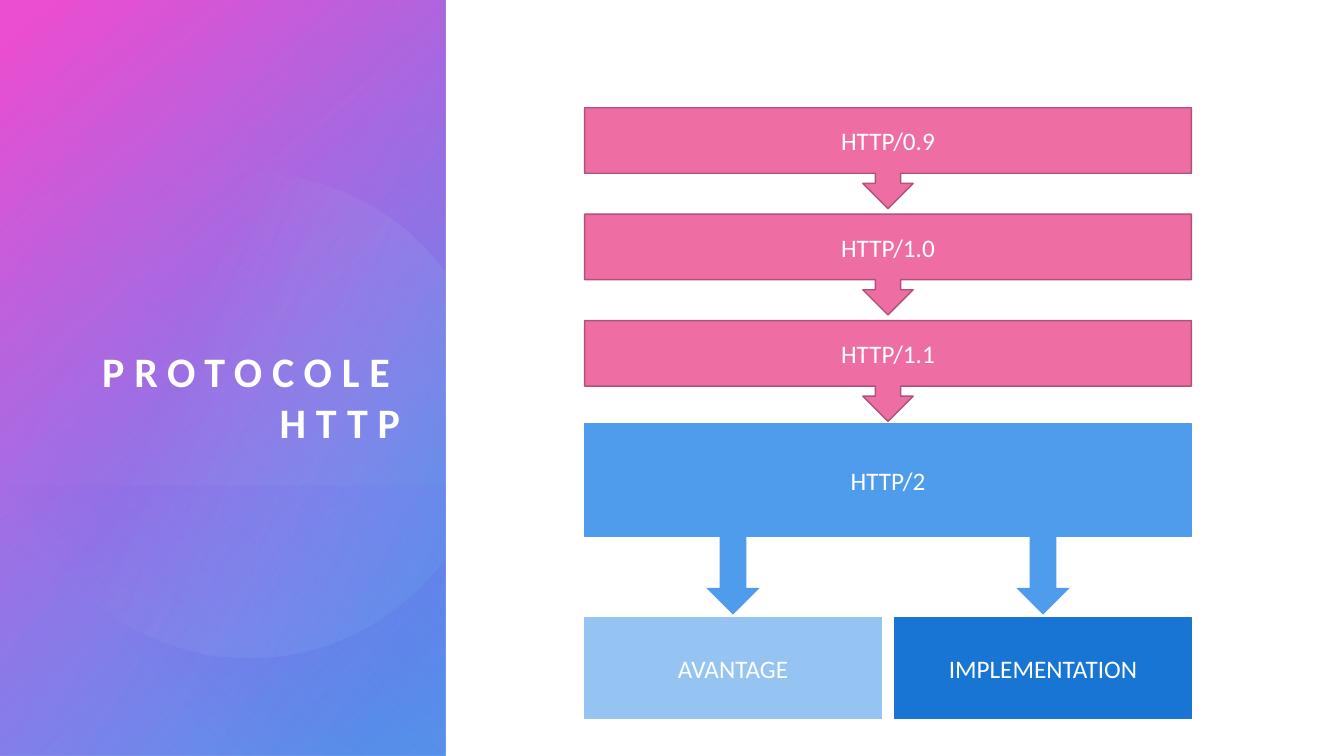
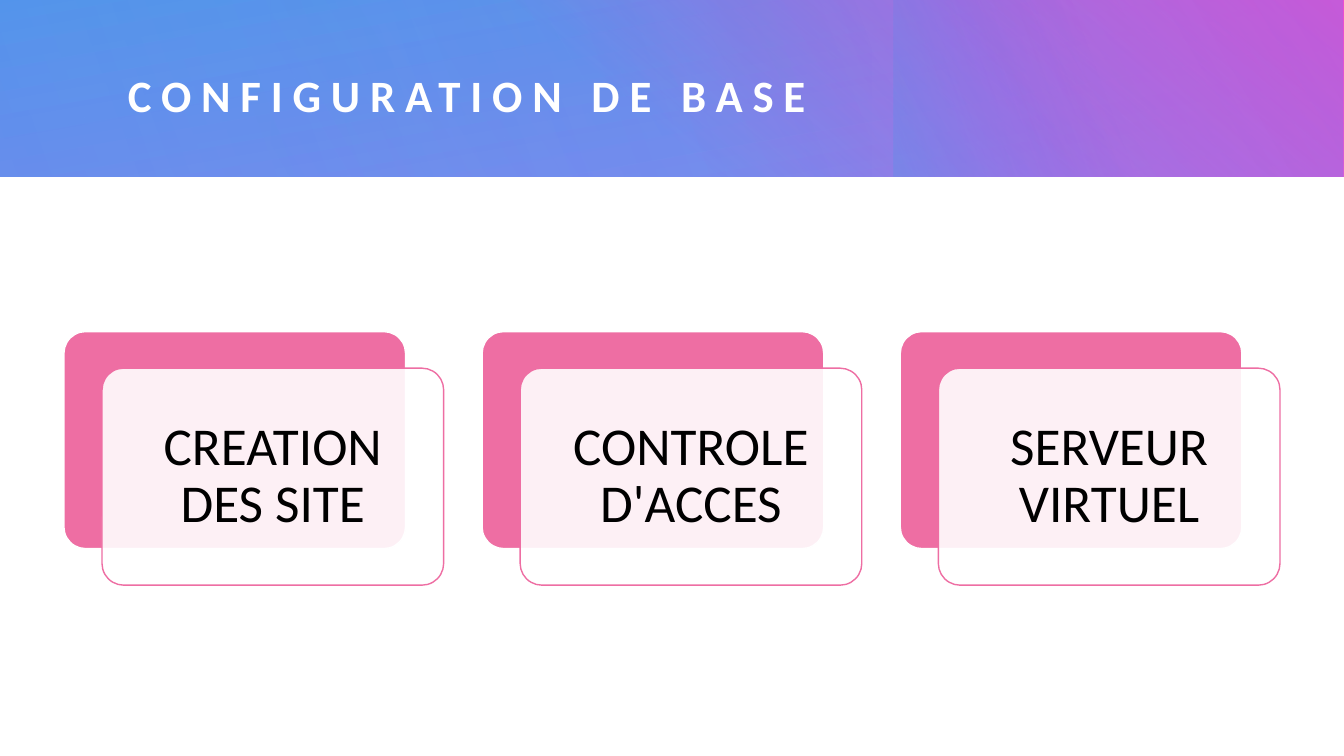
"""Build two slides on HTTP versions and basic server configuration."""
import math

from pptx import Presentation
from pptx.dml.color import RGBColor
from pptx.enum.shapes import MSO_SHAPE
from pptx.enum.text import MSO_ANCHOR, MSO_AUTO_SIZE, PP_ALIGN
from pptx.oxml.ns import qn
from pptx.util import Pt

RECTANGLE = MSO_SHAPE.RECTANGLE
ROUNDED = MSO_SHAPE.ROUNDED_RECTANGLE
CALLOUT = MSO_SHAPE.DOWN_ARROW_CALLOUT
ARROW = MSO_SHAPE.DOWN_ARROW
CENTER, LEFT, RIGHT = PP_ALIGN.CENTER, PP_ALIGN.LEFT, PP_ALIGN.RIGHT
MIDDLE, BOTTOM = MSO_ANCHOR.MIDDLE, MSO_ANCHOR.BOTTOM
NO_AUTOFIT = MSO_AUTO_SIZE.NONE

FONT = "Calibri"
TITLE_ONLY = 5
COLORS = {
    "white": "FFFFFF", "black": "000000", "pink": "EE6EA3", "rose": "B05179",
    "blue": "4E9CEB", "pale": "95C4F3", "deep": "1875D3", "indigo": "6E78EE",
    "violet": "834EEB", "magenta": "EB4ED0", "lilac": "E6DCFB",
}
SLIDE_WIDTH, SLIDE_HEIGHT = 960, 540
PANEL_WIDTH, BAND_HEIGHT = 318.24, 126

# Each layer: box, (position, color, opacity) of both stops, clockwise angle.
PANEL_LAYERS = [
    ((0, 0, PANEL_WIDTH, SLIDE_HEIGHT), (8, "blue", 100), (100, "indigo", 72), 210),
    ((0, 0, PANEL_WIDTH, SLIDE_HEIGHT), (0, "violet", 0), (96, "magenta", 100), 230),
    ((0, 347, PANEL_WIDTH, 193), (2, "indigo", 35), (67, "violet", 0), 140),
]
BAND_LAYERS = [
    ((0, 0, SLIDE_WIDTH, BAND_HEIGHT), (0, "indigo", 83), (100, "blue", 100), 260),
    ((346.5, 0, 613.5, BAND_HEIGHT), (22, "magenta", 0), (99, "magenta", 100), 310),
    ((638.6, 0, 269.3, BAND_HEIGHT), (45, "violet", 0), (99, "blue", 33), 160),
    ((193, 0, 766, BAND_HEIGHT), (0, "indigo", 30), (99, "indigo", 0), 150),
    ((0, 0, 622.8, BAND_HEIGHT), (0, "indigo", 21), (99, "indigo", 0), 340),
]
CIRCLE_CENTER, CIRCLE_RADIUS = (178, 296.5), 173
CIRCLE_GRADIENT = (39, "lilac", 0), (100, "blue", 29), 22

OLD_VERSIONS = ["HTTP/0.9", "HTTP/1.0", "HTTP/1.1"]
CURRENT_VERSION = "HTTP/2"
TOPICS = [("AVANTAGE", "pale"), ("IMPLEMENTATION", "deep")]
CARDS = ["CREATION DES SITE", "CONTROLE D'ACCES", "SERVEUR VIRTUEL"]


def rgb(name):
    return RGBColor.from_string(COLORS[name])


def set_opacity(shape, *percentages):
    colors = shape.element.spPr.iter(qn("a:srgbClr"))
    for percent, color in zip(percentages, list(colors)):
        alpha = color.makeelement(qn("a:alpha"), {"val": str(percent * 1000)})
        color.append(alpha)


def set_line(shape, color):
    if color:
        shape.line.color.rgb = rgb(color)
        shape.line.width = Pt(1)
    else:
        shape.line.fill.background()


def set_gradient(shape, first, last, angle):
    shape.shadow.inherit = False
    shape.fill.gradient()
    shape.fill.gradient_angle = 360 - angle
    for stop, (position, color, _) in zip(shape.fill.gradient_stops, (first, last)):
        stop.position = position / 100
        stop.color.rgb = rgb(color)
    set_opacity(shape, first[2], last[2])
    set_line(shape, None)


def add_layers(slide, layers):
    for box, first, last, angle in layers:
        shape = slide.shapes.add_shape(RECTANGLE, *map(Pt, box))
        set_gradient(shape, first, last, angle)


def add_clipped_circle(slide):
    center_x, center_y = CIRCLE_CENTER
    half_opening = math.degrees(math.acos((PANEL_WIDTH - center_x) / CIRCLE_RADIUS))
    steps = 90
    sweep = 360 - 2 * half_opening
    points = []
    for step in range(steps + 1):
        angle = math.radians(half_opening + sweep * step / steps)
        points.append((Pt(center_x + CIRCLE_RADIUS * math.cos(angle)),
                       Pt(center_y + CIRCLE_RADIUS * math.sin(angle))))
    builder = slide.shapes.build_freeform(*points[0])
    builder.add_line_segments(points[1:], close=True)
    set_gradient(builder.convert_to_shape(), *CIRCLE_GRADIENT)


def write(shape, text, size, color, align=CENTER, anchor=MIDDLE, inset=None):
    frame = shape.text_frame
    frame.word_wrap = True
    frame.auto_size = NO_AUTOFIT
    frame.vertical_anchor = anchor
    if inset is not None:
        frame.margin_left = frame.margin_right = Pt(inset)
        frame.margin_top = frame.margin_bottom = Pt(inset)
    paragraph = frame.paragraphs[0]
    paragraph.alignment = align
    run = paragraph.add_run()
    run.text = text
    run.font.name = FONT
    run.font.size = Pt(size)
    run.font.color.rgb = rgb(color)
    return paragraph, run


def add_title(slide, text, box, size, align, anchor):
    title = slide.shapes.title
    title.left, title.top, title.width, title.height = map(Pt, box)
    slide.shapes.element.append(title.element)
    _, run = write(title, text, size, "white", align, anchor, inset=0)
    run.font.bold = True
    run.font.element.set("spc", "700") if hasattr(run.font, "element") else \
        run._r.get_or_add_rPr().set("spc", "700")


def add_block(slide, kind, box, fill, line=None, text=None):
    shape = slide.shapes.add_shape(kind, *map(Pt, box))
    shape.shadow.inherit = False
    shape.fill.solid()
    shape.fill.fore_color.rgb = rgb(fill)
    set_line(shape, line)
    if text:
        write(shape, text, 18, "white")
    return shape


def build_protocol(slide):
    add_layers(slide, PANEL_LAYERS)
    add_clipped_circle(slide)
    add_title(slide, "PROTOCOLE HTTP", (30.2, 81.4, 255.6, 237.6), 30, RIGHT, BOTTOM)

    left, width, top, pitch = 417.6, 433.4, 77, 76
    for index, version in enumerate(OLD_VERSIONS):
        box = (left, top + index * pitch, width, 72)
        add_block(slide, CALLOUT, box, "pink", "rose", version)
    add_block(slide, RECTANGLE, (left, 303, width, 80), "blue", "blue", CURRENT_VERSION)

    gap = 9.4
    topic_width = (width - gap) / len(TOPICS)
    arrow_width = 38
    for index, (topic, color) in enumerate(TOPICS):
        topic_left = left + index * (topic_width + gap)
        add_block(slide, RECTANGLE, (topic_left, 441.4, topic_width, 72), color, color, topic)
        arrow_left = topic_left + (topic_width - arrow_width) / 2
        add_block(slide, ARROW, (arrow_left, 362, arrow_width, 77), "blue")


def build_configuration(slide):
    add_layers(slide, BAND_LAYERS)
    add_title(slide, "CONFIGURATION DE BASE", (91.4, 29.5, 817.2, 76.3), 32, LEFT, MIDDLE)

    left, top, width, height, pitch = 45.7, 236.9, 244, 155, 298.7
    offset_x, offset_y = 27.2, 26.1
    for index, label in enumerate(CARDS):
        card_left = left + index * pitch
        back = add_block(slide, ROUNDED, (card_left, top, width, height), "pink", "white")
        front_box = (card_left + offset_x, top + offset_y, width, height)
        front = add_block(slide, ROUNDED, front_box, "white", "pink")
        set_opacity(front, 90)
        for shape in (back, front):
            shape.adjustments[0] = 0.1
        paragraph, _ = write(front, label, 38, "black", inset=11.4)
        paragraph.line_spacing = 0.9


def main():
    presentation = Presentation()
    presentation.slide_width = Pt(SLIDE_WIDTH)
    presentation.slide_height = Pt(SLIDE_HEIGHT)
    for build in (build_protocol, build_configuration):
        build(presentation.slides.add_slide(presentation.slide_layouts[TITLE_ONLY]))
    presentation.save("out.pptx")


if __name__ == "__main__":
    main()
